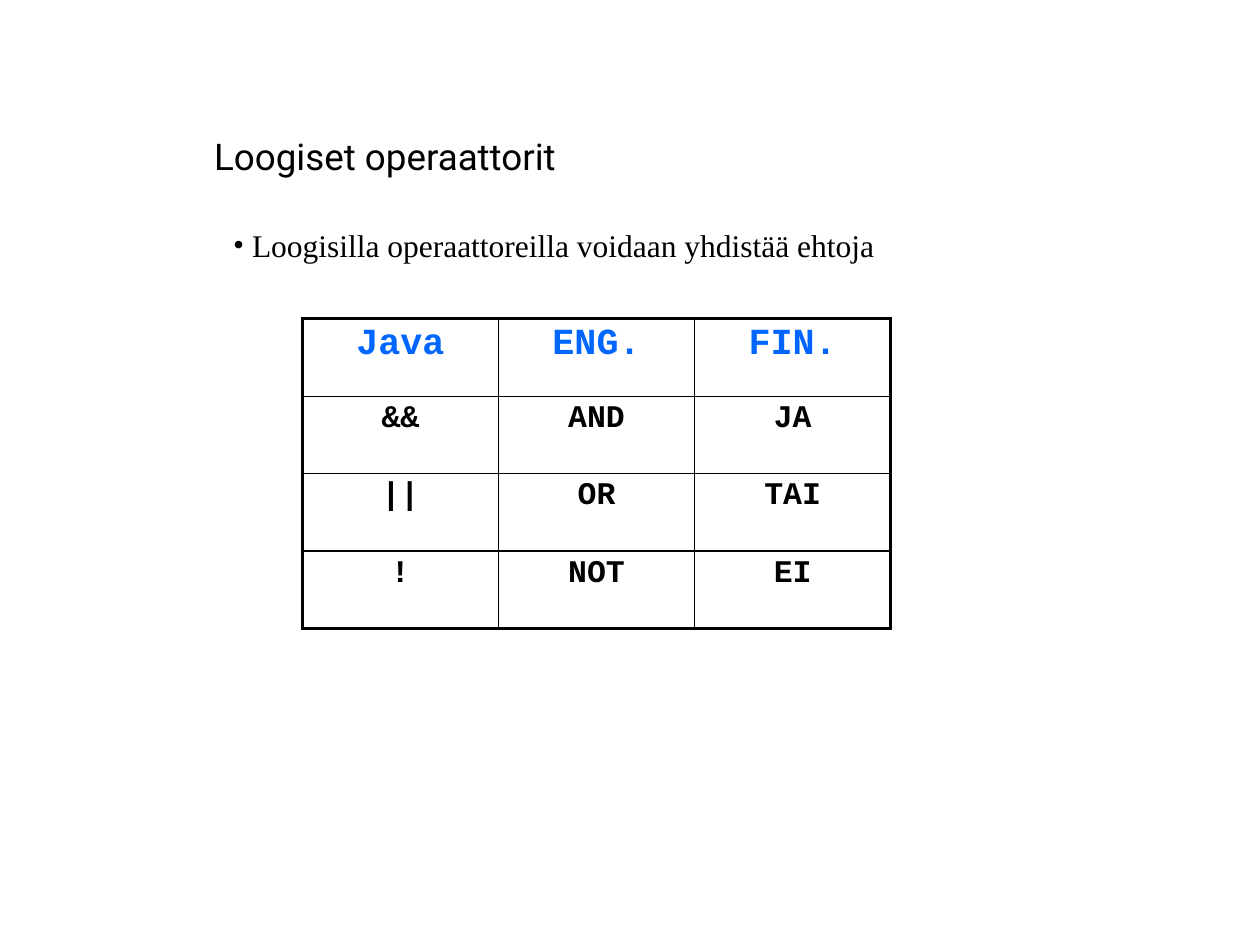
from lxml.etree import SubElement
from pptx import Presentation
from pptx.dml.color import RGBColor
from pptx.enum.text import MSO_ANCHOR, MSO_AUTO_SIZE, PP_ALIGN
from pptx.oxml.ns import qn
from pptx.util import Inches, Pt

COLORS = {"text": "000000", "header": "0066FF", "border": "000000"}
OPERATORS = [
    ["Java", "ENG.", "FIN."],
    ["&&", "AND", "JA"],
    ["||", "OR", "TAI"],
    ["!", "NOT", "EI"],
]


class SlideBuilder:
    title_font = "Roboto"
    body_font = "Times New Roman"
    code_font = "Courier New"
    large, normal = Pt(21), Pt(18)
    thick, thin = Pt(2.25), Pt(1)

    def __init__(self, deck):
        self.page = deck.slides.add_slide(deck.slide_layouts[1])

    def format_runs(self, paragraph, font, size, color="text", bold=False):
        for span in paragraph.runs:
            span.font.name = font
            span.font.size = size
            span.font.bold = bold
            span.font.color.rgb = RGBColor.from_string(COLORS[color])

    def fill_placeholder(self, box, text, bounds, font, size, margins):
        box.left, box.top, box.width, box.height = map(Inches, bounds)
        frame = box.text_frame
        frame.text = text
        frame.word_wrap = True
        frame.auto_size = MSO_AUTO_SIZE.NONE
        frame.vertical_anchor = MSO_ANCHOR.TOP
        frame.margin_left = frame.margin_right = Inches(margins[0])
        frame.margin_top = frame.margin_bottom = Inches(margins[1])
        paragraph = frame.paragraphs[0]
        paragraph.alignment = PP_ALIGN.LEFT
        paragraph.space_before = Pt(0)
        self.format_runs(paragraph, font, size)
        return paragraph

    def title(self, text, bounds):
        self.fill_placeholder(self.page.shapes.title, text, bounds,
                              self.title_font, self.large, (0.07, 0.03))

    def bullet(self, text, bounds):
        paragraph = self.fill_placeholder(self.page.placeholders[1], text, bounds,
                                          self.body_font, self.normal, (0.1, 0.05))
        properties = paragraph._p.get_or_add_pPr()
        properties.set("marL", str(Inches(0.15)))
        properties.set("indent", str(-Inches(0.15)))
        SubElement(properties, qn("a:buFont"), typeface=self.body_font)
        SubElement(properties, qn("a:buChar"), char="•")

    def borders(self, cell, outer_edges):
        properties = cell._tc.get_or_add_tcPr()
        for position, (side, outer) in enumerate(outer_edges.items()):
            width = self.thick if outer else self.thin
            line = SubElement(properties, qn(f"a:ln{side}"), w=str(width))
            fill = SubElement(line, qn("a:solidFill"))
            SubElement(fill, qn("a:srgbClr"), val=COLORS["border"])
            properties.insert(position, line)

    def table(self, rows, bounds):
        row_count, column_count = len(rows), len(rows[0])
        frame = self.page.shapes.add_table(row_count, column_count, *map(Inches, bounds))
        grid = frame.table
        grid.first_row = grid.horz_banding = False
        for row, values in enumerate(rows):
            for column, value in enumerate(values):
                cell = grid.cell(row, column)
                cell.text = value
                cell.fill.background()
                cell.margin_left = cell.margin_right = Inches(0.07)
                cell.margin_top = cell.margin_bottom = Inches(0.04)
                paragraph = cell.text_frame.paragraphs[0]
                paragraph.alignment = PP_ALIGN.CENTER
                size, color = (self.normal, "text") if row else (self.large, "header")
                self.format_runs(paragraph, self.code_font, size, color, bold=True)
                self.borders(cell, {
                    "L": column == 0,
                    "R": column == column_count - 1,
                    "T": row == 0,
                    "B": row == row_count - 1,
                })


def main():
    deck = Presentation()
    deck.slide_width, deck.slide_height = Inches(10), Inches(7.5)
    builder = SlideBuilder(deck)
    builder.title("Loogiset operaattorit", (1.63, 1.03, 6.61, 0.42))
    builder.bullet("Loogisilla operaattoreilla voidaan yhdistää ehtoja",
                   (1.75, 1.74, 6.38, 2.22))
    builder.table(OPERATORS, (2.4, 2.53, 4.67, 2.46))
    deck.save("out.pptx")


if __name__ == "__main__":
    main()
